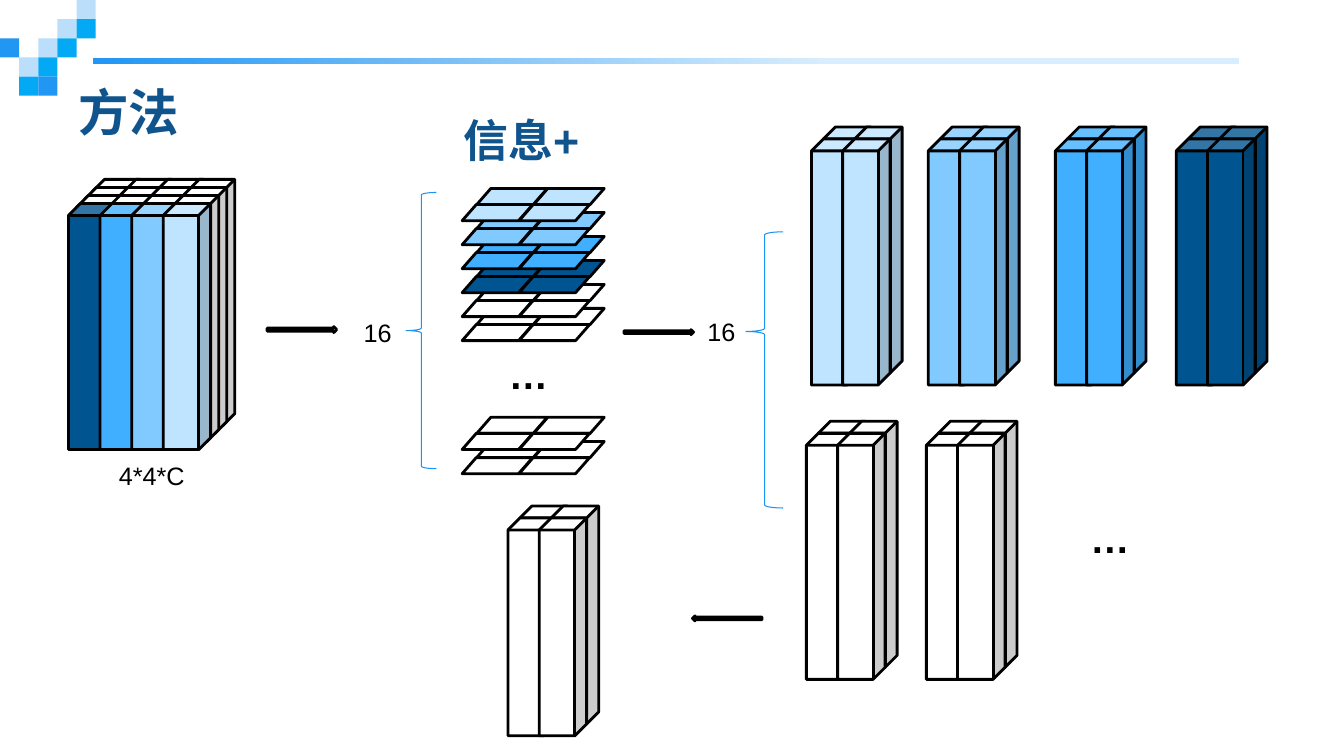
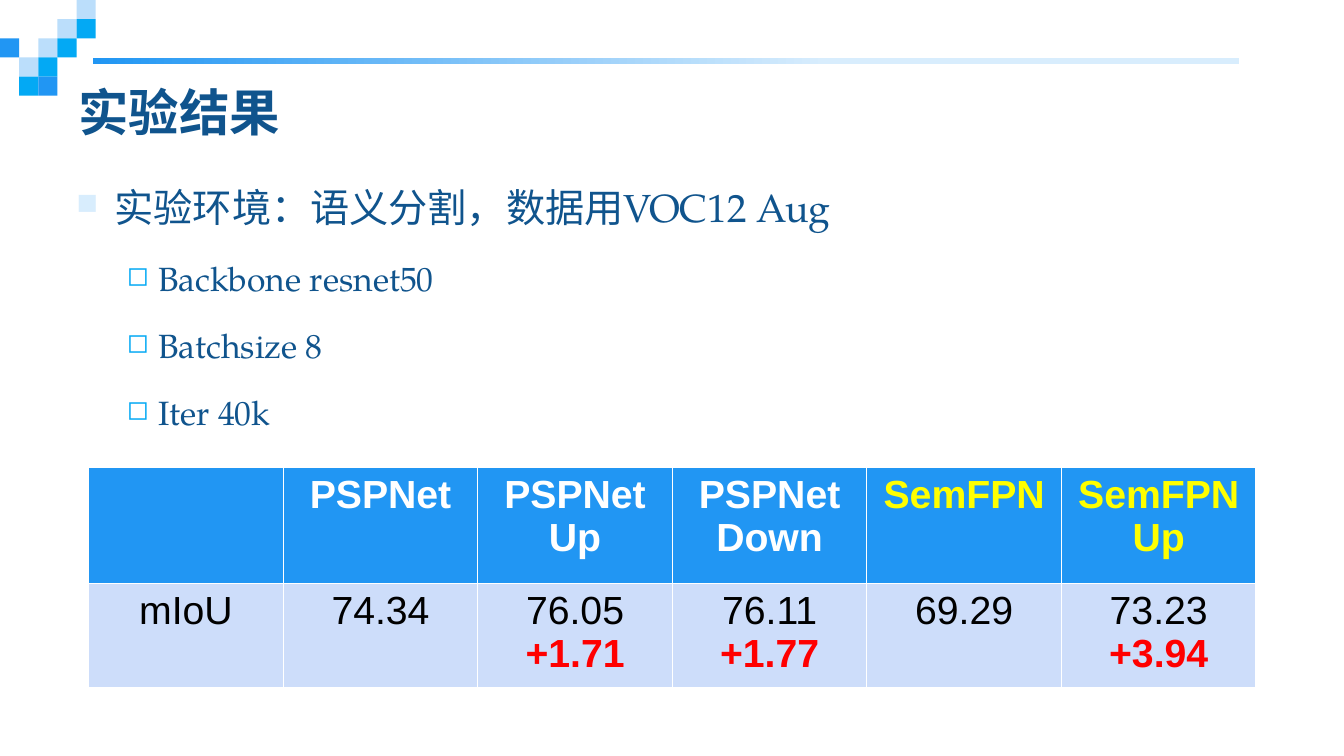
from dataclasses import dataclass

from lxml.etree import SubElement
from pptx import Presentation
from pptx.dml.color import RGBColor as RGB
from pptx.enum.shapes import MSO_SHAPE as Kind
from pptx.enum.text import MSO_ANCHOR as Anchor, PP_ALIGN as Align
from pptx.oxml.ns import qn
from pptx.util import Inches, Pt


@dataclass(frozen=True)
class Theme:
    """Colours, fonts and type sizes of the deck."""
    navy: str = "10548D"
    blue: str = "2196F3"
    sky: str = "03A9F4"
    pale: str = "BBDEFB"
    mist: str = "D8EDFD"
    brace: str = "1B93F3"
    band: str = "CDDDFA"
    white: str = "FFFFFF"
    black: str = "000000"
    red: str = "FF0000"
    gold: str = "FFFF00"
    shades: tuple = ("BFE4FF", "80CAFF", "40AFFF", "005490")
    sans: str = "Arial"
    serif: str = "TeX Gyre Pagella"
    title: int = 36
    head: int = 32
    large: int = 28
    mid: int = 24
    small: int = 18


T = Theme()
COLS, ROWS = 133.33, 75
TILE = 1.9
CUBE = 4.7


def cell(n):
    """Turn grid cells into a length."""
    return Inches(n / 10)


@dataclass(frozen=True)
class Box:
    """An area in grid cells."""
    x: float
    y: float
    w: float
    h: float

    def sub(self, dx, dy, w, h):
        """Give an area placed from this one's corner."""
        return Box(self.x + dx, self.y + dy, w, h)

    def size(self):
        """Give the area as slide lengths."""
        return [cell(n) for n in (self.x, self.y, self.w, self.h)]


def look(size, ink=T.black, bold=False, name=T.sans):
    """Collect the values of one text format."""
    return {"size": Pt(size), "bold": bold, "name": name, "ink": ink}


def style(item, values):
    """Set attributes from a dict of format values."""
    for key, value in values.items():
        if key == "ink":
            item.color.rgb = RGB.from_string(value)
        else:
            setattr(item, key, value)


def say(frame, lines, **para):
    """Write (text, format) lines as paragraphs and return them."""
    made = []
    for i, (text, fmt) in enumerate(lines):
        p = frame.add_paragraph() if i else frame.paragraphs[0]
        style(p, para)
        run = p.add_run()
        run.text = text
        style(run.font, fmt)
        made.append(p)
    return made


def write(slide, box, lines, anchor=Anchor.TOP, **para):
    """Place a text box."""
    frame = slide.shapes.add_textbox(*box.size()).text_frame
    style(frame, {"word_wrap": True, "vertical_anchor": anchor})
    return say(frame, lines, **para)


def draw(slide, kind, box, fill=None, line=None, width=2):
    """Place a preset shape."""
    shape = slide.shapes.add_shape(kind, *box.size())
    shape.shadow.inherit = False
    if fill:
        shape.fill.solid()
        shape.fill.fore_color.rgb = RGB.from_string(fill)
    else:
        shape.fill.background()
    if line:
        shape.line.color.rgb = RGB.from_string(line)
        shape.line.width = Pt(width)
    else:
        shape.line.fill.background()
    return shape


def rule(slide, box):
    """Draw the fading band."""
    fill = draw(slide, Kind.RECTANGLE, box).fill
    fill.gradient()
    fill.gradient_angle = 0
    for stop, spot, ink in zip(fill.gradient_stops, (0, 0.64), (T.blue, T.mist)):
        stop.position = spot
        stop.color.rgb = RGB.from_string(ink)


def mosaic(slide, box):
    """Draw the corner tiles, one text row per tile row."""
    inks = {"p": T.pale, "s": T.sky, "b": T.blue}
    for row, tiles in enumerate(("....p", "...ps", "b.ps.", ".ps..", ".sb..")):
        for col, key in enumerate(tiles):
            if key in inks:
                spot = box.sub(col * TILE, row * TILE, TILE, TILE)
                draw(slide, Kind.RECTANGLE, spot, inks[key])


def page(deck, title):
    """Add a slide with its band, tiles and title."""
    slide = deck.slides.add_slide(deck.slide_layouts[6])
    rule(slide, Box(9.2, 5.8, 113.7, 0.6))
    mosaic(slide, Box(0, 0, 5 * TILE, 5 * TILE))
    fmt = look(T.title, T.navy, True, T.serif)
    write(slide, Box(6.8, 7.5, 108.7, 7.1), [(title, fmt)], Anchor.MIDDLE)
    return slide


def block(slide, box, fills, step=1.2, back=None):
    """Draw a square bundle of columns, back row first."""
    last = len(fills) - 1
    gap = (box.w - CUBE) / last - step
    for row in range(last + 1):
        for col, ink in enumerate(fills):
            tint = ink if row == last else back or ink
            spot = box.sub((last - row) * step + col * gap, row * step,
                           CUBE, box.h - last * step)
            draw(slide, Kind.CUBE, spot, tint, T.black)


def sheet(slide, box, fill):
    """Draw a layer of two by two slanted tiles."""
    wide, high = box.w / 2 - 0.1, box.h / 2
    for row in range(2):
        for col in range(2):
            spot = box.sub(1.45 * (1 - row) + 5.65 * col, high * row, wide, high)
            draw(slide, Kind.FLOWCHART_DATA, spot, fill, T.black)


def stack(slide, box, fills):
    """Pile layers, the lowest first."""
    high = 3.2
    step = (box.h - high) / (len(fills) - 1)
    for i in reversed(range(len(fills))):
        sheet(slide, box.sub(0, i * step, box.w, high), fills[i])


def arrow(slide, box, turn=0):
    """Draw a thin arrow."""
    draw(slide, Kind.RIGHT_ARROW, box, T.white, T.black).rotation = turn


def brace(slide, box, mid=0.5):
    """Draw a left brace with its tip at a share of its height."""
    shape = draw(slide, Kind.LEFT_BRACE, box, None, T.brace, 0.75)
    shape.adjustments[1] = mid


def split(slide, box):
    """Draw the source block and the layers cut from it."""
    block(slide, box.sub(0, 0, 16.5, 26.8), T.shades[::-1], 0.8, T.white)
    stack(slide, box.sub(39.05, 0.9, 14.2, 15.1), T.shades + (T.white,) * 2)
    stack(slide, box.sub(39.05, 23.6, 14.2, 5.6), (T.white,) * 2)
    arrow(slide, box.sub(19.7, 14.6, 6.9, 0.6))
    brace(slide, box.sub(33.5, 1.3, 3, 27.4))


def spread(slide, box):
    """Draw the blocks made from the layers."""
    wide, high = 9, 25.6
    for x, ink in zip((6.5, 18.1, 30.7, 42.7), T.shades):
        block(slide, box.sub(x, 0, wide, high), (ink,) * 2)
    for x in (6, 17.9):
        block(slide, box.sub(x, 29.2, wide, high), (T.white,) * 2)
    brace(slide, box.sub(0, 10.4, 3.7, 27.4), 0.361)


def method(deck):
    """Build the method slide."""
    slide = page(deck, "方法")
    split(slide, Box(6.8, 17.8, 53.25, 29.2))
    spread(slide, Box(74, 12.6, 51.7, 54.8))
    arrow(slide, Box(61.9, 32.7, 6.9, 0.5))
    arrow(slide, Box(68.7, 61.1, 6.9, 0.5), 180)
    block(slide, Box(50.4, 50.2, 9, 22.8), (T.white,) * 2)
    small, dots = look(T.small), look(T.large, bold=True)
    for text, fmt, box in (
        ("16", small, Box(35.1, 31, 5.4, 4)),
        ("16", small, Box(69.2, 30.9, 5.4, 4)),
        ("4*4*C", small, Box(10.8, 45.2, 9.2, 4)),
        ("…", dots, Box(49.5, 34.3, 11.6, 5.7)),
        ("…", dots, Box(107.2, 50.5, 11.6, 5.7)),
        ("信息+", look(T.head, T.navy, True), Box(45, 10.7, 52, 6.4)),
    ):
        write(slide, box, [(text, fmt)])


def bullet(para, mark, ink, share, left, hang):
    """Give a paragraph a hanging bullet."""
    props = para._p.get_or_add_pPr()
    props.set("marL", str(cell(left)))
    props.set("indent", str(-cell(hang)))
    SubElement(SubElement(props, qn("a:buClr")), qn("a:srgbClr")).set("val", ink)
    SubElement(props, qn("a:buSzPct")).set("val", str(share * 1000))
    SubElement(props, qn("a:buChar")).set("char", mark)


def setup(slide, box, lead, items):
    """Write the bulleted list."""
    lines = [(lead, look(T.large, T.navy, name=T.serif))]
    lines += [(item, look(T.mid, T.navy, name=T.serif)) for item in items]
    paras = write(slide, box, lines, line_spacing=1.5)
    for i, (para, (_, fmt)) in enumerate(zip(paras, lines)):
        para.space_before = Pt(fmt["size"].pt * 0.2)
        if i:
            bullet(para, "◻", T.sky, 80, 8.1, 3.1)
        else:
            bullet(para, "■", T.mist, 75, 3.8, 3.8)


def scores(slide, box, data):
    """Place the table of (name, ink, score, gain) columns."""
    table = slide.shapes.add_table(2, len(data), *box.size()).table
    table.horz_banding = False
    for row, high in zip(table.rows, (11.5, 9.7)):
        row.height = cell(high)
    for col, (name, ink, score, gain) in enumerate(data):
        table.columns[col].width = cell(box.w / len(data))
        head = [(word, look(T.large, ink, True)) for word in name.split()]
        body = [(score, look(T.large))]
        if gain:
            body.append((gain, look(T.large, T.red, True)))
        for row, (lines, fill) in enumerate(((head, T.blue), (body, T.band))):
            spot = table.cell(row, col)
            spot.fill.solid()
            spot.fill.fore_color.rgb = RGB.from_string(fill)
            say(spot.text_frame, lines, alignment=Align.CENTER)


def results(deck):
    """Build the results slide."""
    slide = page(deck, "实验结果")
    setup(slide, Box(6.6, 15.4, 114.3, 19.7), "实验环境：语义分割，数据用VOC12 Aug",
          ("Backbone resnet50", "Batchsize 8", "Iter 40k"))
    scores(slide, Box(8.8, 46.4, 115.8, 21.2), (
        ("", T.white, "mIoU", ""),
        ("PSPNet", T.white, "74.34", ""),
        ("PSPNet Up", T.white, "76.05", "+1.71"),
        ("PSPNet Down", T.white, "76.11", "+1.77"),
        ("SemFPN", T.gold, "69.29", ""),
        ("SemFPN Up", T.gold, "73.23", "+3.94"),
    ))


def main():
    """Build and save the deck."""
    deck = Presentation()
    style(deck, {"slide_width": cell(COLS), "slide_height": cell(ROWS)})
    method(deck)
    results(deck)
    deck.save("out.pptx")


if __name__ == "__main__":
    main()
